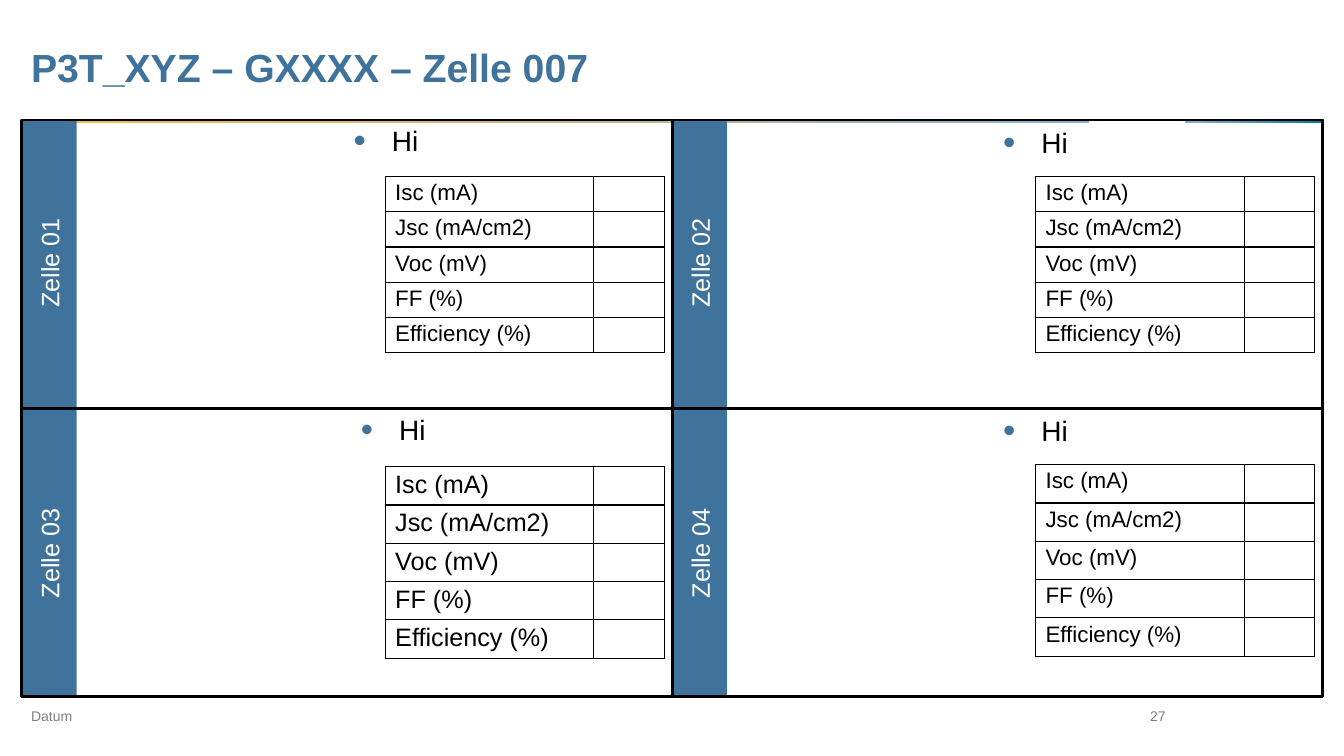
from lxml import etree
from pptx import Presentation
from pptx import util as u
from pptx.dml import color
from pptx.enum import shapes, text
from pptx.oxml import ns

BLUE, BLACK, WHITE, GRAY = "3F739B", "000000", "FFFFFF", "808080"
ROWS = ["Isc (mA)", "Jsc (mA/cm2)", "Voc (mV)", "FF (%)", "Efficiency (%)"]
left, top, column, row = 0.21, 1.19, 6.45, 2.86
width, height, middle = 12.91, 2 * row, 6.67


def rgb(code):
    return color.RGBColor.from_string(code)


def write(frame, words, size, code, bold=False, align=None, bullet=False):
    frame.word_wrap = True
    paragraph = frame.paragraphs[0]
    paragraph.alignment = align
    if bullet:
        paragraph.space_after = u.Pt(18)
        properties = paragraph._p.get_or_add_pPr()
        properties.set("marL", str(u.Inches(0.38)))
        properties.set("indent", str(-u.Inches(0.38)))
        holder = etree.SubElement(properties, ns.qn("a:buClr"))
        etree.SubElement(holder, ns.qn("a:srgbClr"), val=BLUE)
        etree.SubElement(properties, ns.qn("a:buSzPct"), val="125000")
        etree.SubElement(properties, ns.qn("a:buFont"), typeface="Arial")
        etree.SubElement(properties, ns.qn("a:buChar"), char="•")
    run = paragraph.add_run()
    run.text = words
    for name, value in {"name": "Arial", "size": u.Pt(size), "bold": bold}.items():
        setattr(run.font, name, value)
    run.font.color.rgb = rgb(code)


presentation = Presentation()
presentation.slide_width, presentation.slide_height = u.Inches(13.33), u.Inches(7.5)
slide = presentation.slides.add_slide(presentation.slide_layouts[6])

for bar_left, bar_width, colours in [
    (left, 10.59, ("FFB93F", "89B0CE")),
    (11.75, 1.38, ("89B0CE", "0078A4")),
]:
    bar = slide.shapes.add_shape(
        shapes.MSO_SHAPE.RECTANGLE, *map(u.Inches, (bar_left, 1.18, bar_width, 0.04)))
    bar.shadow.inherit = False
    bar.line.fill.background()
    bar.fill.gradient()
    bar.fill.gradient_angle = 0
    for stop, position, code in zip(bar.fill.gradient_stops, (0, 1), colours):
        stop.position = position
        stop.color.rgb = rgb(code)

for index in range(4):
    across, down = index % 2, index // 2
    label = slide.shapes.add_shape(
        shapes.MSO_SHAPE.RECTANGLE,
        *map(u.Inches, (-0.94 + across * column, 2.34 + down * 2.88, row, 0.54)))
    label.rotation = 270
    label.shadow.inherit = False
    label.fill.solid()
    label.fill.fore_color.rgb = rgb(BLUE)
    label.line.fill.background()
    label.text_frame.vertical_anchor = text.MSO_ANCHOR.MIDDLE
    write(label.text_frame, f"Zelle {index + 1:02d}", 18, WHITE, align=text.PP_ALIGN.CENTER)

for words, box, size, code, bold, align in [
    ("P3T_XYZ – GXXXX – Zelle 007", (left, 0.2, 10.43, 0.92), 28, BLUE, True, None),
    ("27", (10.87, 6.91, 0.79, 0.39), 10, GRAY, False, text.PP_ALIGN.RIGHT),
    ("Datum", (left, 6.91, 1.08, 0.39), 10, GRAY, False, None),
]:
    shape = slide.shapes.add_textbox(*map(u.Inches, box))
    shape.text_frame.vertical_anchor = text.MSO_ANCHOR.MIDDLE
    write(shape.text_frame, words, size, code, bold, align)

for ends in [
    (left, top + row, left + width, top + row),
    (middle, top, middle, top + height),
]:
    divider = slide.shapes.add_connector(
        shapes.MSO_CONNECTOR.STRAIGHT, *map(u.Inches, ends))
    divider.line.color.rgb = rgb(BLACK)
    divider.line.width = u.Pt(2.25)
    etree.SubElement(divider._element.spPr, ns.qn("a:effectLst"))

outline = slide.shapes.add_shape(
    shapes.MSO_SHAPE.RECTANGLE, *map(u.Inches, (left, top, width, height)))
outline.shadow.inherit = False
outline.fill.background()
outline.line.color.rgb = rgb(BLACK)
outline.line.width = u.Pt(2)

for across, note_left, note_top, table_top, size, empty_size, row_height in [
    (0, 3.41, 1.18, 1.75, 16, 16, 0.35),
    (0, 3.48, 4.04, 4.63, 18, 18, 0.38),
    (1, 9.85, 1.2, 1.75, 16, 16, 0.35),
    (1, 9.85, 4.05, 4.61, 16, 18, 0.38),
]:
    note = slide.shapes.add_textbox(*map(u.Inches, (note_left, note_top, 3.26, 2.87)))
    write(note.text_frame, "Hi", 20, BLACK, bullet=True)

    table = slide.shapes.add_table(
        len(ROWS), 2,
        *map(u.Inches, (3.82 + across * column, table_top, 2.77, len(ROWS) * row_height))).table
    table.first_row = table.horz_banding = False
    table.columns[0].width, table.columns[1].width = u.Inches(2.07), u.Inches(0.7)
    for number, words in enumerate(ROWS):
        table.rows[number].height = u.Inches(row_height)
        for cell in table.rows[number].cells:
            cell.margin_top = cell.margin_bottom = u.Inches(0.04)
            for side in ("lnL", "lnR", "lnT", "lnB"):
                border = etree.SubElement(
                    cell._tc.get_or_add_tcPr(), ns.qn(f"a:{side}"), w=str(u.Pt(1)))
                paint = etree.SubElement(border, ns.qn("a:solidFill"))
                etree.SubElement(paint, ns.qn("a:srgbClr"), val=BLACK)
            cell.fill.background()
        write(table.cell(number, 0).text_frame, words, size, BLACK)
        empty = table.cell(number, 1).text_frame.paragraphs[0]
        etree.SubElement(empty._p, ns.qn("a:endParaRPr"), sz=str(empty_size * 100))

presentation.save("out.pptx")
